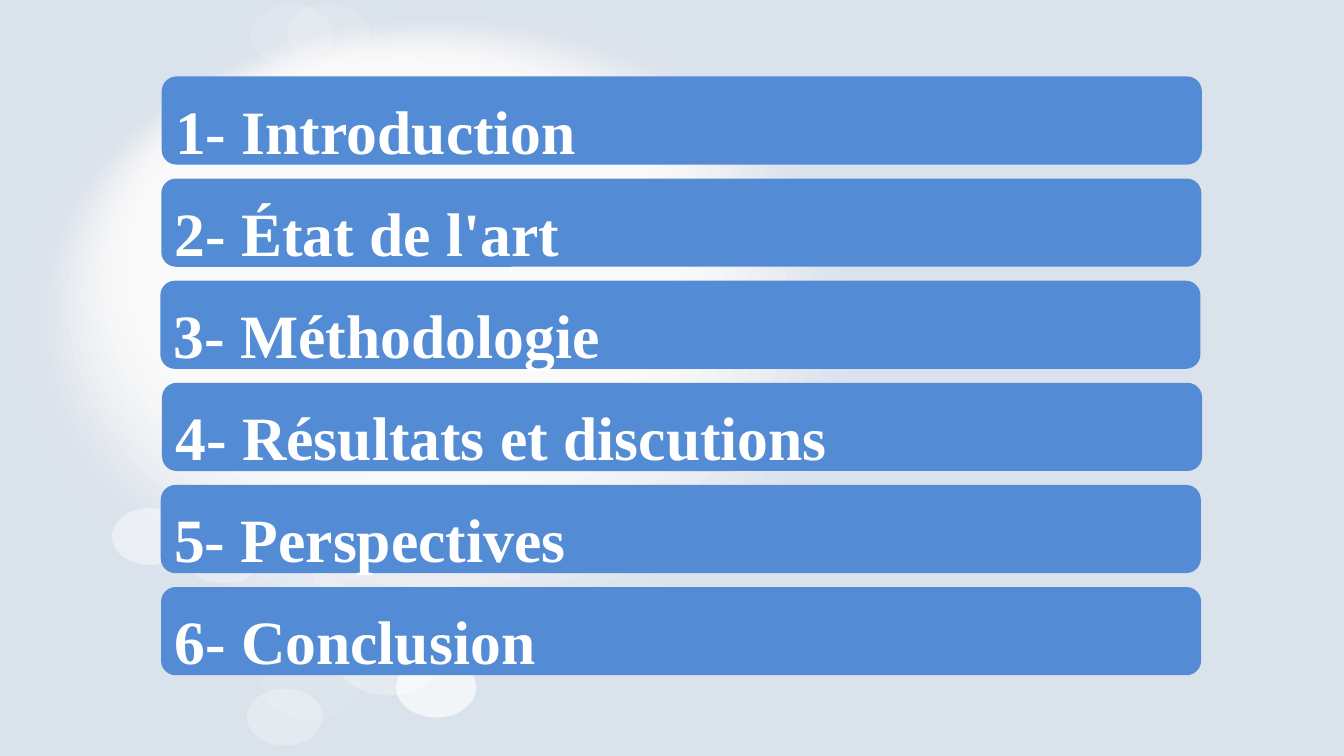
"""Build the agenda slide: six numbered bars over a soft white glow."""
from lxml import etree
from pptx import Presentation
from pptx import util as u
from pptx.dml import color
from pptx.enum import shapes, text
from pptx.oxml import ns


def paint(fill, hex_color, alpha=100):
    fill.solid()
    fill.fore_color.rgb = color.RGBColor.from_string(hex_color)
    if alpha < 100:
        clr = fill._xPr.find(".//" + ns.qn("a:srgbClr"))
        etree.SubElement(clr, ns.qn("a:alpha")).set("val", str(round(alpha * 1000)))


def add_shape(kind, box, hex_color, alpha=100):
    sp = s.shapes.add_shape(kind, *[u.Pt(v) for v in box])
    sp.shadow.inherit = False
    sp.line.fill.background()
    paint(sp.fill, hex_color, alpha)
    return sp


prs = Presentation()
prs.slide_width, prs.slide_height = u.Pt(960), u.Pt(540)
s = prs.slides.add_slide(prs.slide_layouts[6])
paint(s.background.fill, "DAE2EB")

for i in range(1, 17):
    ring = (14.4 + 4.86 * i, 7.92 + 2.25 * i, 613.44 - 14.08 * i, 461.52 - 10.62 * i)
    add_shape(shapes.MSO_SHAPE.OVAL, ring, "FFFFFF", round(1.5 + 1.6 * i))

bubbles = [
    (159.1, 400.3, 92.9, 69.8, 12),
    (224.6, 355.7, 146.9, 110.9, 15),
    (79.9, 362.9, 54, 40.7, 45),
    (182.2, 344.2, 62.6, 47.2, 8),
    (129.6, 372.2, 59.8, 44.6, 25),
    (186.5, 460.8, 70.6, 52.9, 7),
    (176.4, 491.8, 54, 40.7, 31),
    (283, 469.4, 57.2, 43.2, 67),
    (239, 439.2, 77, 57.6, 31),
    (205.2, 2.9, 59.4, 44.6, 15),
    (179.3, 2.9, 58.7, 44.3, 16),
]
for *box, alpha in bubbles:
    add_shape(shapes.MSO_SHAPE.OVAL, box, "FFFFFF", alpha)

agenda = [
    ("Introduction", 115.5),
    ("État de l'art", 115.2),
    ("Méthodologie", 114.5),
    ("Résultats et discutions", 115.7),
    ("Perspectives", 114.8),
    ("Conclusion", 115),
]
for i, (title, left) in enumerate(agenda):
    sp = add_shape(shapes.MSO_SHAPE.ROUNDED_RECTANGLE, (left, 54.6 + 72.94 * i, 743, 63), "538CD5")
    sp.adjustments[0] = 0.167
    tf = sp.text_frame
    tf.word_wrap = True
    tf.vertical_anchor = text.MSO_ANCHOR.TOP
    tf.margin_left, tf.margin_top = u.Pt(6.5), u.Pt(8.4)
    tf.margin_right = tf.margin_bottom = u.Pt(0)
    p = tf.paragraphs[0]
    p.alignment = text.PP_ALIGN.LEFT
    r = p.add_run()
    r.text = f"{i + 1}- {title}"
    r.font.name, r.font.size, r.font.bold = "Times New Roman", u.Pt(44), True
    paint(r.font.fill, "FFFFFF")

prs.save("out.pptx")
